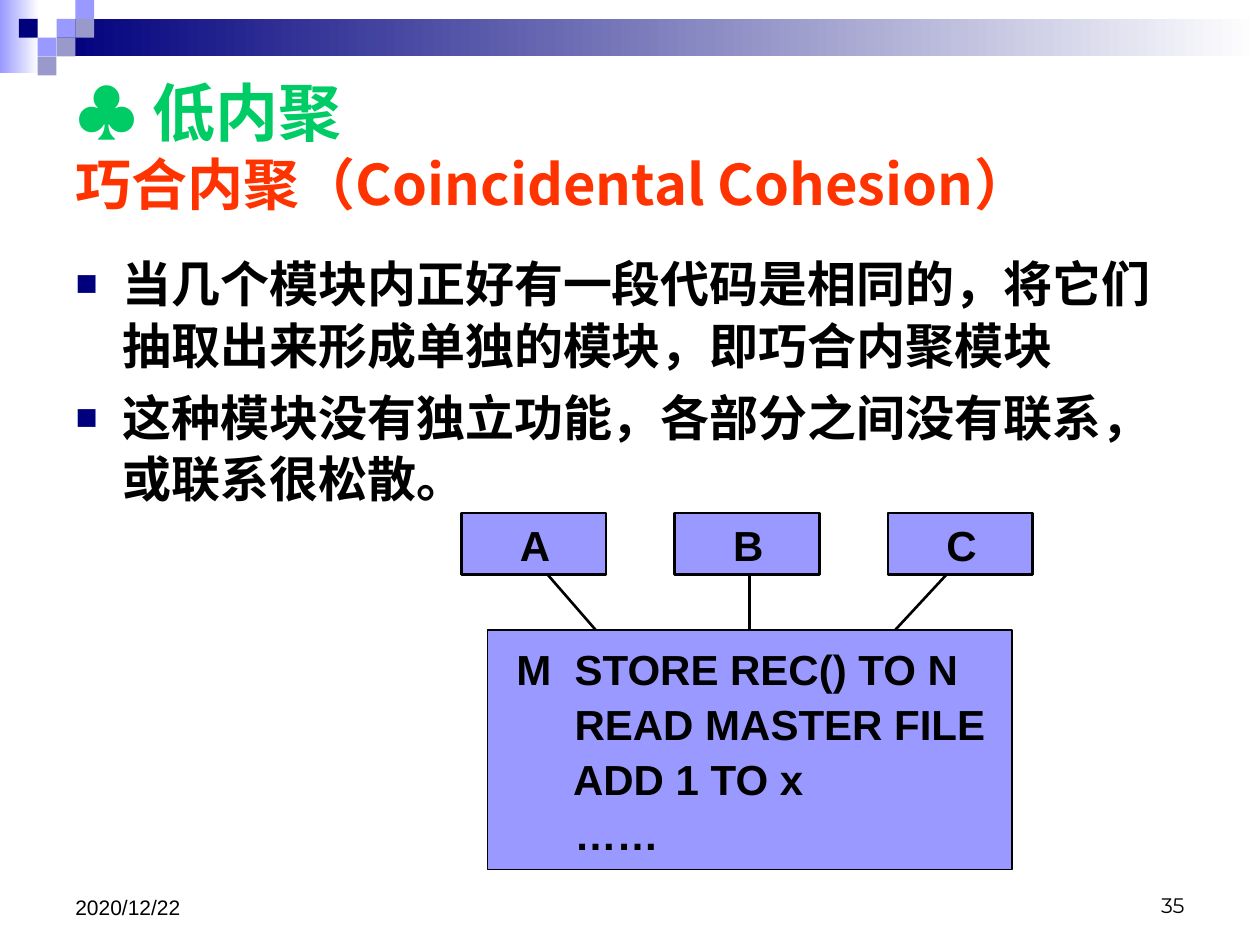
from typing import NamedTuple

from lxml.etree import SubElement
from pptx import Presentation
from pptx.dml.color import RGBColor
from pptx.enum.shapes import MSO_CONNECTOR as Connector, MSO_SHAPE as Preset
from pptx.enum.text import MSO_ANCHOR as Anchor, MSO_AUTO_SIZE as AutoSize, PP_ALIGN as Align
from pptx.oxml.ns import qn
from pptx.util import Cm, Pt

NAVY = RGBColor(0x00, 0x00, 0x7D)
LILAC = RGBColor(0x99, 0x99, 0xFF)
GREY_BLUE = RGBColor(0x99, 0x99, 0xCC)
GREEN = RGBColor(0x00, 0xCC, 0x66)
RED = RGBColor(0xFF, 0x33, 0x00)
BLACK = RGBColor(0x00, 0x00, 0x00)
WHITE = RGBColor(0xFF, 0xFF, 0xFF)

TILE = 0.38
MODULE_LEFT, MODULE_STEP, MODULE_TOP = 9.3, 4.3, 10.34


class Box(NamedTuple):
    left: float
    top: float
    width: float
    height: float

    def lengths(self) -> list:
        return [Cm(value) for value in self]


class Tile(NamedTuple):
    column: int
    row: int
    color: RGBColor


class Link(NamedTuple):
    start_x: float
    start_y: float
    end_x: float
    end_y: float


TILES = [
    Tile(3, 1, LILAC), Tile(4, 0, LILAC), Tile(4, 1, GREY_BLUE), Tile(2, 2, LILAC),
    Tile(1, 1, NAVY), Tile(3, 2, GREY_BLUE), Tile(2, 3, GREY_BLUE),
]
LINKS = [
    Link(10.95, 11.48, 12.27, 13.0),
    Link(15.11, 11.38, 15.11, 12.9),
    Link(19.25, 11.4, 17.86, 12.9),
]
POINTS = [
    "当几个模块内正好有一段代码是相同的，将它们抽取出来形成单独的模块，即巧合内聚模块",
    "这种模块没有独立功能，各部分之间没有联系，或联系很松散。",
]
CODE = [
    "M  STORE REC() TO N",
    "     READ MASTER FILE",
    "     ADD 1 TO x",
    "     ……",
]


def write(paragraph, text: str, *, size: float, font="Arial", color=BLACK, bold=True) -> None:
    run = paragraph.add_run()
    run.text = text
    run.font.size = Pt(size)
    run.font.name = font
    run.font.bold = bold
    run.font.color.rgb = color


def paragraphs(frame, count: int, gap: float) -> list:
    """Return the paragraphs of a frame, with a gap before all but the first."""
    result = [frame.paragraphs[0]] + [frame.add_paragraph() for _ in range(count - 1)]
    for index, paragraph in enumerate(result):
        paragraph.space_before = Pt(gap if index else 0)
    return result


def place(shape, box: Box) -> None:
    shape.left, shape.top, shape.width, shape.height = box.lengths()
    shape.text_frame.auto_size = AutoSize.NONE


def add_block(slide, box: Box, color: RGBColor, *, fade=False, line: float = 0) -> None:
    shape = slide.shapes.add_shape(Preset.RECTANGLE, *box.lengths())
    shape.shadow.inherit = False
    if fade:
        shape.fill.gradient()
        shape.fill.gradient_angle = 0
        for stop, stop_color in zip(shape.fill.gradient_stops, (color, WHITE)):
            stop.color.rgb = stop_color
    else:
        shape.fill.solid()
        shape.fill.fore_color.rgb = color
    if line:
        shape.line.color.rgb = BLACK
        shape.line.width = Pt(line)
    else:
        shape.line.fill.background()


def add_text(slide, box: Box, lines: list[str], *, gap: float = 0, anchor=Anchor.TOP,
             align=Align.LEFT, wrap=False, **style) -> None:
    frame = slide.shapes.add_textbox(*box.lengths()).text_frame
    frame.word_wrap = wrap
    frame.vertical_anchor = anchor
    for paragraph, text in zip(paragraphs(frame, len(lines), gap), lines):
        paragraph.alignment = align
        write(paragraph, text, **style)


def add_link(slide, link: Link) -> None:
    connector = slide.shapes.add_connector(Connector.STRAIGHT, *[Cm(value) for value in link])
    connector.line.color.rgb = BLACK
    connector.line.width = Pt(1.5)
    SubElement(connector._element.spPr, qn("a:effectLst"))


def add_bullet(paragraph) -> None:
    properties = paragraph._p.get_or_add_pPr()
    properties.set("marL", str(Cm(0.95)))
    properties.set("indent", str(-Cm(0.95)))
    color = SubElement(properties, qn("a:buClr"))
    SubElement(color, qn("a:srgbClr"), val=str(NAVY))
    SubElement(properties, qn("a:buSzPct"), val="75000")
    SubElement(properties, qn("a:buFont"), typeface="Arial")
    SubElement(properties, qn("a:buChar"), char="■")


def draw_banner(slide) -> None:
    add_block(slide, Box(0, 0, 0.79, 1.47), LILAC, fade=True)
    add_block(slide, Box(3 * TILE, TILE, 24.26, 2 * TILE), NAVY, fade=True)
    for tile in TILES:
        add_block(slide, Box(tile.column * TILE, tile.row * TILE, TILE, TILE), tile.color)


def fill_title(title) -> None:
    place(title, Box(1.27, 1.12, 22.86, 3.6))
    title.text_frame.vertical_anchor = Anchor.MIDDLE
    paragraph = title.text_frame.paragraphs[0]
    paragraph.alignment = Align.LEFT
    write(paragraph, "♣ 低内聚", size=36, font="Times New Roman", color=GREEN)
    paragraph.add_line_break()
    write(paragraph, "巧合内聚（Coincidental Cohesion）", size=32, font="Noto Sans CJK JP", color=RED)


def fill_body(body) -> None:
    place(body, Box(1.27, 4.93, 22.83, 13))
    for paragraph, text in zip(paragraphs(body.text_frame, len(POINTS), 5.6), POINTS):
        paragraph.line_spacing = 1.05
        add_bullet(paragraph)
        write(paragraph, text, size=28, font="Times New Roman")


def draw_diagram(slide) -> None:
    for link in LINKS:
        add_link(slide, link)
    for index, name in enumerate("ABC"):
        left = MODULE_LEFT + index * MODULE_STEP
        add_block(slide, Box(left, MODULE_TOP, 2.92, 1.24), LILAC, line=1.5)
        add_text(slide, Box(left + 0.93, MODULE_TOP, 1.12, 1.27), [name], size=24)
    add_block(slide, Box(9.83, 12.7, 10.57, 4.83), LILAC, line=0.75)
    add_text(slide, Box(10.16, 12.85, 9.96, 4.47), CODE, gap=2.6, size=24)


def main() -> None:
    presentation = Presentation()
    presentation.slide_width, presentation.slide_height = Cm(25.4), Cm(19.05)
    slide = presentation.slides.add_slide(presentation.slide_layouts[1])

    # Banner, title and list
    draw_banner(slide)
    fill_title(slide.shapes.title)
    fill_body(slide.placeholders[1])

    # Modules A, B and C sharing module M
    draw_diagram(slide)

    # Footer
    footer = dict(anchor=Anchor.BOTTOM, wrap=True, size=12, bold=False)
    add_text(slide, Box(18.21, 17.35, 5.92, 1.27), ["35"], align=Align.RIGHT, font="Montserrat", **footer)
    add_text(slide, Box(1.27, 17.35, 5.92, 1.32), ["2020/12/22"], **footer)

    presentation.save("out.pptx")


if __name__ == "__main__":
    main()
